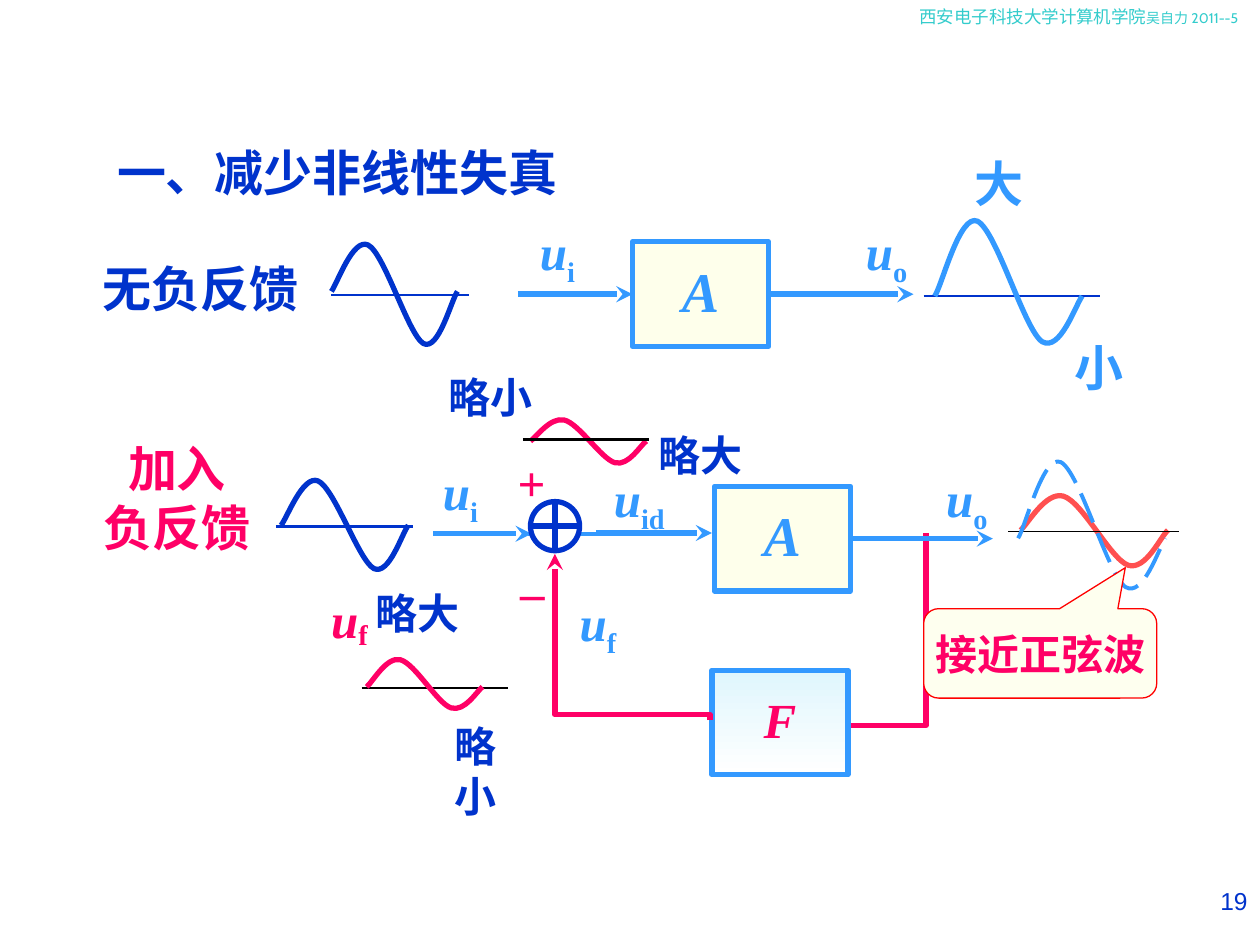
from lxml import etree
from pptx import Presentation
from pptx.dml.color import RGBColor
from pptx.enum import dml, shapes as kinds, text as tx
from pptx.oxml.ns import qn
from pptx.util import Pt

BLUE, SKY, PINK, BLACK = "0033CC", "3399FF", "FF0066", "000000"
CREAM = "FEFFEB"
SERIF = "Times New Roman"
BOX = (77.8, 59.8)

deck = Presentation()
deck.slide_width, deck.slide_height = Pt(720), Pt(540)
slide = deck.slides.add_slide(deck.slide_layouts[6])
parts = slide.shapes


def tint(code):
    return RGBColor.from_string(code)


def pen(line, code, width):
    line.color.rgb = tint(code)
    line.width = Pt(width)


def style(run, size, code, bold=True, font=SERIF):
    run.font.size, run.font.bold, run.font.name = Pt(size), bold, font
    run.font.color.rgb = tint(code)


def label(words, x, y, w, h, code=BLUE, size=28, wrap=True,
          align="LEFT", bold=True, font=SERIF):
    frame = parts.add_textbox(Pt(x), Pt(y), Pt(w), Pt(h)).text_frame
    frame.word_wrap = wrap
    frame.text = words
    for para in frame.paragraphs:
        para.alignment = getattr(tx.PP_ALIGN, align)
        for run in para.runs:
            style(run, size, code, bold, font)
    return frame


def signal(sub, x, y, code=SKY, w=58.3, drop=-25, align="CENTER"):
    """Italic u with a subscript."""
    frame = label("u", x, y, w, 45.4, code, align=align)
    para = frame.paragraphs[0]
    para.runs[0].font.italic = True
    low = para.add_run()
    low.text = sub
    style(low, 28, code)
    low.font._element.set("baseline", str(drop * 1000))


def shape(kind, x, y, w, h, fill, edge, width):
    item = parts.add_shape(kind, Pt(x), Pt(y), Pt(w), Pt(h))
    item.shadow.inherit = False
    item.fill.solid()
    item.fill.fore_color.rgb = tint(fill)
    pen(item.line, edge, width)
    return item


def caption(item, words, size, code):
    frame = item.text_frame
    frame.text = words
    frame.word_wrap = False
    frame.vertical_anchor = tx.MSO_ANCHOR.MIDDLE
    para = frame.paragraphs[0]
    para.alignment = tx.PP_ALIGN.CENTER
    style(para.runs[0], size, code)
    return para


def block(letter, x, y, size=32, code=SKY):
    item = shape(kinds.MSO_SHAPE.RECTANGLE, x, y, *BOX, CREAM, SKY, 3)
    para = caption(item, letter, size, code)
    para.line_spacing = 0.9
    para.runs[0].font.italic = True
    return item


def link(x1, y1, x2, y2, code=SKY, width=3.12, arrow=False, kind="STRAIGHT"):
    item = parts.add_connector(getattr(kinds.MSO_CONNECTOR, kind),
                               Pt(x1), Pt(y1), Pt(x2), Pt(y2))
    pen(item.line, code, width)
    props = item._element.spPr
    if arrow:
        etree.SubElement(props.find(qn("a:ln")), qn("a:tailEnd"), type="stealth")
    etree.SubElement(props, qn("a:effectLst"))
    return item


def trace(points, code, width):
    pts = [(Pt(x), Pt(y)) for x, y in points]
    pen_path = parts.build_freeform(*pts[0])
    pen_path.add_line_segments(pts[1:], close=False)
    item = pen_path.convert_to_shape()
    item.shadow.inherit = False
    item.fill.background()
    pen(item.line, code, width)
    return item


def wave(x, y, w, h, mid, code, width=3):
    """One period as three cubic curves; mid is the height of the axis."""
    across = (0, .05, .17, .29, .42, .61, .73, .85, .95, 1)
    down = (mid, mid - .08, 0, .06, .13, .85, .93, 1, mid + .08, mid)
    item = trace([(x + a * w, y + d * h) for a, d in zip(across, down)],
                 code, width)
    # Join every three straight steps into one curve
    route = item._element.find(".//" + qn("a:path"))
    steps = route.findall(qn("a:lnTo"))
    for i in range(0, len(steps), 3):
        curve = etree.SubElement(route, qn("a:cubicBezTo"))
        for step in steps[i:i + 3]:
            curve.append(step[0])
            route.remove(step)
    return item


def header(x, y):
    frame = label("西安电子科技大学计算机学院", x, y, 201.6, 28.8, "33CCCC", 10,
                  bold=False, font="Cabin")
    run = frame.paragraphs[0].add_run()
    run.text = "吴自力 2011--5"
    style(run, 8, "33CCCC", False, "Cabin")


def open_loop(x, y):
    label("无负反馈", x + .5, y + 60, 144, 41, align="CENTER")
    # Input sine
    link(x + 147.4, y + 84.5, x + 225.8, y + 84.5, BLUE, 1.5)
    wave(x + 147.4, y + 52.1, 72, 64.8, .47, BLUE)
    # Amplifier
    amp = block("A", x + 319.4, y + 54.2)
    mid = y + 54.2 + BOX[1] / 2
    link(x + 254, mid, x + 319.4, mid, arrow=True).end_connect(amp, 1)
    link(x + 397.2, mid, x + 480, mid, arrow=True).begin_connect(amp, 3)
    signal("i", x + 247.4, y + 39.1)
    signal("o", x + 435.4, y + 39.1)
    # Distorted output
    link(x + 485.8, y + 85.2, x + 586.6, y + 85.2, BLUE, 1.5)
    wave(x + 492.2, y + 37.7, 84.2, 79.2, .6, SKY)
    label("大", x + 508, y, 42.5, 41, SKY, wrap=False)
    label("小", x + 565, y + 105.4, 42.5, 41, SKY, wrap=False)


def feedback(x, y):
    # Path from the output down to F
    trace([(x + 349.2, y + .6), (x + 349.2, y + 110.5), (x + 306, y + 110.5)],
          PINK, 3)
    # Network F
    net = block("F", x + 226.8, y + 79, 28, PINK)
    net.fill.gradient()
    net.fill.gradient_angle = 270
    for stop, code in zip(net.fill.gradient_stops, ("DFF6FD", "FFFFFF")):
        stop.color.rgb = tint(code)
    # Elbow from F up to the summing point
    bend = link(x + 133.9, y + 15.7, x + 228.9, y + 104.3, PINK,
                arrow=True, kind="ELBOW")
    props = bend._element.spPr
    frame = props.find(qn("a:xfrm"))
    frame.set("rot", "16200000")
    frame.set("flipV", "1")
    etree.SubElement(props.find(".//" + qn("a:avLst")), qn("a:gd"),
                     name="adj1", fmla="val 3300")
    # Feedback signal
    link(x + 26.6, y + 89.1, x + 110.2, y + 89.1, BLACK, 1.5)
    wave(x + 29.5, y + 71.1, 66.2, 31.7, .55, PINK)
    signal("f", x + 2.2, y + 29.4, PINK, 48.2, -14, "LEFT")
    signal("f", x + 132.5, y + 30.8)
    label("略大", x + 27.4, y + 27.9, 87, 36, size=24)
    label("略小", x + 72.7, y + 104.2, 62, 36, size=24, wrap=False)


def closed_loop(x, y):
    label("加入\n负反馈", x + .3, y + 39, 121.7, 75, PINK, align="CENTER")
    # Input sine
    link(x + 117.7, y + 93, x + 196.2, y + 93, BLUE, 1.5)
    wave(x + 120.6, y + 63.4, 72.7, 57.6, .5, BLUE)
    # Net input signal
    wave(x + 263.1, y + 30.3, 66.2, 28.1, .49, PINK)
    link(x + 258.8, y + 43.3, x + 330.8, y + 43.3, BLACK, 1.5)
    label("略小", x + 209, y + .8, 76.3, 36, size=24)
    label("略大", x + 329.4, y + 34, 85, 36, size=24)
    # Amplifier
    amp = block("A", x + 368.2, y + 69.9)
    mid = y + 69.9 + BOX[1] / 2
    link(x + 207.7, y + 97, x + 263.8, y + 97, arrow=True)
    link(x + 261.7, y + 97.3, x + 300.6, y + 97.3, width=2.25)
    link(x + 300.6, y + 96.6, x + 366.8, y + 96.6, arrow=True)
    link(x + 446, mid, x + 527.4, mid, arrow=True).begin_connect(amp, 3)
    signal("i", x + 194, y + 52)
    signal("id", x + 296.2, y + 56.2)
    signal("o", x + 483.4, y + 56.2)
    # Summing point
    shape(kinds.MSO_SHAPE.FLOWCHART_OR, x + 263.1, y + 78.6, 28.1, 28.1,
          "FFFFFF", BLUE, 3)
    label("+", x + 248.7, y + 46.9, 30.2, 41, PINK, wrap=False)
    label("–", x + 250.2, y + 109.5, 28, 41, PINK, wrap=False)
    # Output, corrected and ideal
    wave(x + 543.2, y + 72.8, 84.2, 45.4, .49, "FF5050")
    link(x + 536, y + 95.8, x + 633.9, y + 95.8, BLACK, 1)
    ideal = wave(x + 541.8, y + 51.2, 84.2, 82.1, .59, SKY, 2.25)
    ideal.line.dash_style = dml.MSO_LINE.LONG_DASH
    # Callout
    note = shape(kinds.MSO_SHAPE.ROUNDED_RECTANGULAR_CALLOUT, x + 487.8,
                 y + 139.8, 133.2, 51.1, "FEFFEF", "FF0000", .75)
    for i, value in enumerate((.365, -.958, .167)):
        note.adjustments[i] = value
    caption(note, "接近正弦波", 24, PINK)


header(518.4, 0)
label("一、减少非线性失真", 59.8, 77.8, 329.8, 41)
open_loop(42, 84)
feedback(180, 304)
closed_loop(40, 208)
label("19", 540, 502.6, 180, 37.4, size=14, align="RIGHT", bold=False,
      font="Arial")
deck.save("out.pptx")
